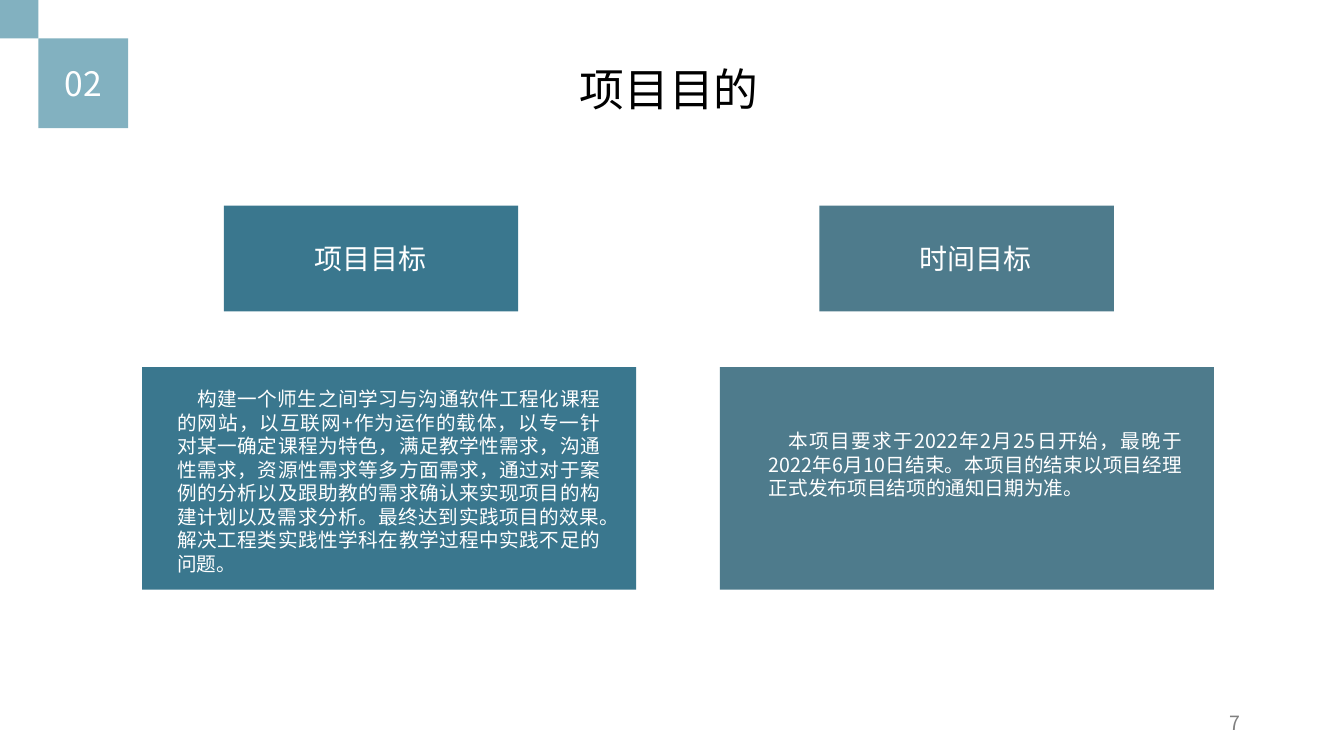
"""Build the project purpose slide with its two goal panels."""
from pptx import Presentation
from pptx.dml.color import RGBColor
from pptx.enum.shapes import MSO_SHAPE
from pptx.enum.text import MSO_ANCHOR, PP_ALIGN
from pptx.util import Cm, Pt

RECT = MSO_SHAPE.RECTANGLE
TOP, MIDDLE = MSO_ANCHOR.TOP, MSO_ANCHOR.MIDDLE
CENTER, RIGHT, JUSTIFY = PP_ALIGN.CENTER, PP_ALIGN.RIGHT, PP_ALIGN.JUSTIFY
FONT = "Noto Sans CJK SC"
WHITE, BLACK, GRAY = "FFFFFF", "000000", "808080"
PALE, BLUE, SLATE = "82B1C0", "3A778E", "4E7B8C"

prs = Presentation()
prs.slide_width, prs.slide_height = Cm(33.87), Cm(19.05)
s = prs.slides.add_slide(prs.slide_layouts[6])


def add_block(x, y, w, h, color):
    sp = s.shapes.add_shape(RECT, Cm(x), Cm(y), Cm(w), Cm(h))
    sp.shadow.inherit = False
    sp.fill.solid()
    sp.fill.fore_color.rgb = RGBColor.from_string(color)
    sp.line.fill.background()
    return sp


def add_text(x, y, w, h, text, size, color=WHITE, align=CENTER, anchor=TOP, indent=0):
    sp = s.shapes.add_textbox(Cm(x), Cm(y), Cm(w), Cm(h))
    tf = sp.text_frame
    tf.word_wrap = True
    tf.vertical_anchor = anchor
    tf.text = text
    p = tf.paragraphs[0]
    p.alignment = align
    p.line_spacing = Pt(size * 1.2)
    p._p.get_or_add_pPr().set("indent", str(Cm(indent)))
    r = p.runs[0]
    r.font.size = Pt(size)
    r.font.name = FONT
    r.font.color.rgb = RGBColor.from_string(color)
    ea = r.font._element.makeelement(
        "{http://schemas.openxmlformats.org/drawingml/2006/main}ea", {"typeface": FONT})
    r.font._element.find("{*}latin").addnext(ea)


goals = [
    (BLUE, 3.58, 5.64, "项目目标", 6.73, (4.22, 9.63, 11.15, 5.03),
     "构建一个师生之间学习与沟通软件工程化课程的网站，以互联网+作为运作的载体，"
     "以专一针对某一确定课程为特色，满足教学性需求，沟通性需求，资源性需求等多方面需求，"
     "通过对于案例的分析以及跟助教的需求确认来实现项目的构建计划以及需求分析。"
     "最终达到实践项目的效果。解决工程类实践性学科在教学过程中实践不足的问题。"),
    (SLATE, 18.14, 20.65, "时间目标", 21.97, (19.13, 10.69, 10.92, 2.06),
     "本项目要求于2022年2月25日开始，最晚于2022年6月10日结束。"
     "本项目的结束以项目经理正式发布项目结项的通知日期为准。"),
]
for color, panel_x, head_x, head, label_x, body_box, body in goals:
    add_block(panel_x, 9.25, 12.45, 5.61, color)
    add_block(head_x, 5.18, 7.42, 2.67, color)
    add_text(*body_box, body, 14, align=JUSTIFY, indent=0.5)
    add_text(label_x, 5.97, 5.21, 1.12, head, 20)

add_block(0, 0, 0.97, 0.97, PALE)
add_block(0.97, 0.97, 2.26, 2.26, PALE)
add_text(0.97, 0.97, 2.26, 2.26, "02", 24, anchor=MIDDLE)
add_text(4.37, 1.42, 24.99, 1.63, "项目目的", 32, BLACK)
add_text(23.88, 17.7, 7.62, 1.02, "7", 14, GRAY, RIGHT, MIDDLE)

prs.save("out.pptx")
